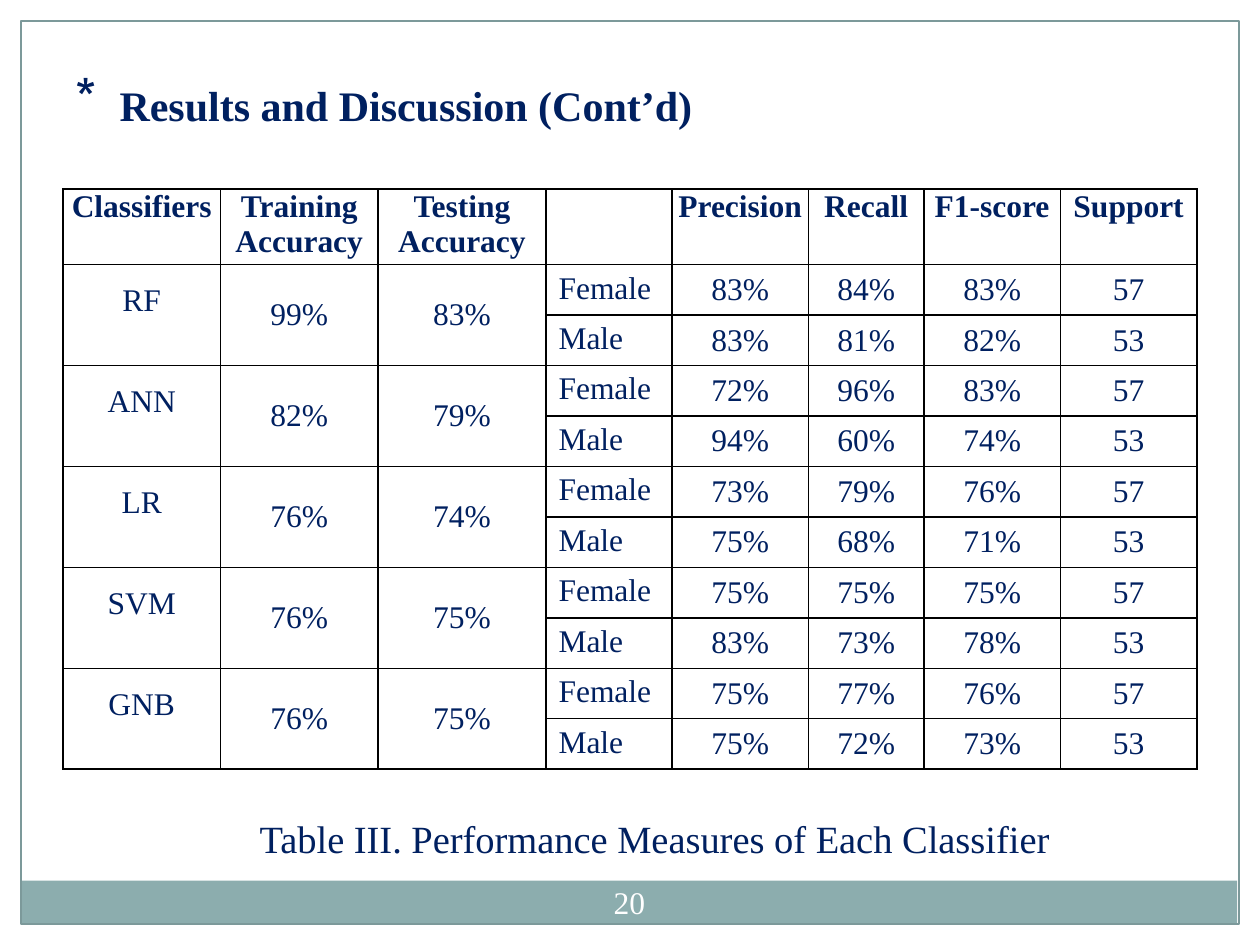
from dataclasses import dataclass
from typing import Any, Optional

from lxml import etree
from pptx import Presentation, util as u
from pptx.dml.color import RGBColor
from pptx.enum import shapes, text
from pptx.oxml import ns

COLORS = {"navy": "002060", "white": "FFFFFF", "band": "8CADAE",
          "frame": "7C999A", "border": "000000"}
FONT = "Times New Roman"
CENTER, LEFT = text.PP_ALIGN.CENTER, text.PP_ALIGN.LEFT
TOP, MIDDLE = text.MSO_ANCHOR.TOP, text.MSO_ANCHOR.MIDDLE
SLIDE_WIDTH, SLIDE_HEIGHT = 10, 7.5
MARGIN = 1 / 6
COLUMN_TWELFTHS = [15, 15, 16, 12, 13, 11, 13, 13]
HEADER_HEIGHT, ROW_HEIGHT = 0.6, 0.4
HEADERS = ["Classifiers", "Training Accuracy", "Testing\nAccuracy", "",
           "Precision", "Recall", "F1-score", "Support"]


@dataclass
class Panel:
    left: float
    top: float
    width: float
    height: float
    fill: Optional[str] = None
    line: Optional[str] = None


@dataclass
class Label:
    words: str
    left: float
    top: float
    width: float
    height: float
    size: int
    color: str = "navy"
    bold: bool = False
    align: Any = CENTER
    wrap: bool = False
    bullet: bool = False


@dataclass
class Classifier:
    name: str
    training: str
    testing: str
    female: list[str]
    male: list[str]


PANELS = [
    Panel(0, 0, SLIDE_WIDTH, MARGIN, fill="white"),
    Panel(SLIDE_WIDTH - MARGIN, 0, MARGIN, SLIDE_HEIGHT, fill="white"),
    Panel(0, 0, MARGIN, SLIDE_HEIGHT, fill="white"),
    Panel(0.16, 6.99, 9.66, 0.34, fill="band"),
    Panel(MARGIN, MARGIN, SLIDE_WIDTH - 2 * MARGIN, SLIDE_HEIGHT - 2 * MARGIN, line="frame"),
]
LABELS = [
    Label("20", 4.66, 6.92, 0.67, 0.48, 18, color="white", wrap=True),
    Label("Results and Discussion (Cont’d)", 0.5, 0.58, 5.15, 0.5, 24,
          bold=True, align=LEFT, bullet=True),
    Label("Table III. Performance Measures of Each Classifier",
          1.92, 6.42, 6.55, 0.47, 22),
]
CLASSIFIERS = [
    Classifier("RF", "99%", "83%", ["83%", "84%", "83%", "57"], ["83%", "81%", "82%", "53"]),
    Classifier("ANN", "82%", "79%", ["72%", "96%", "83%", "57"], ["94%", "60%", "74%", "53"]),
    Classifier("LR", "76%", "74%", ["73%", "79%", "76%", "57"], ["75%", "68%", "71%", "53"]),
    Classifier("SVM", "76%", "75%", ["75%", "75%", "75%", "57"], ["83%", "73%", "78%", "53"]),
    Classifier("GNB", "76%", "75%", ["75%", "77%", "76%", "57"], ["75%", "72%", "73%", "53"]),
]


def rgb(name: str) -> RGBColor:
    return RGBColor.from_string(COLORS[name])


def box(item: Any) -> list[u.Length]:
    return [u.Inches(value) for value in (item.left, item.top, item.width, item.height)]


def apply(target: Any, values: dict[str, Any]) -> None:
    for name, value in values.items():
        setattr(target, name, value)


def write(frame: Any, words: str, size: int, color: str, bold: bool, align: Any) -> None:
    frame.text = words
    for paragraph in frame.paragraphs:
        paragraph.alignment = align
        for font in [paragraph.font, *(run.font for run in paragraph.runs)]:
            apply(font, {"size": u.Pt(size), "bold": bold, "name": FONT})
            font.color.rgb = rgb(color)


def add_element(parent: Any, tag: str, **attributes: str) -> Any:
    return etree.SubElement(parent, ns.qn(tag), attributes)


def add_bullet(paragraph: Any) -> None:
    properties = paragraph._p.get_or_add_pPr()
    indent = u.Inches(0.35)
    properties.set("marL", str(int(indent)))
    properties.set("indent", str(-int(indent)))
    color = add_element(properties, "a:buClr")
    add_element(color, "a:srgbClr", val=COLORS["navy"])
    bullet_size = add_element(properties, "a:buSzPct", val="128000")
    character = add_element(properties, "a:buChar", char="*")
    for index, element in enumerate((color, bullet_size, character)):
        properties.insert(index, element)


def add_panel(slide: Any, panel: Panel) -> None:
    shape = slide.shapes.add_shape(shapes.MSO_SHAPE.RECTANGLE, *box(panel))
    shape.shadow.inherit = False
    if panel.fill:
        shape.fill.solid()
        shape.fill.fore_color.rgb = rgb(panel.fill)
    else:
        shape.fill.background()
    if panel.line:
        shape.line.color.rgb = rgb(panel.line)
        shape.line.width = u.Pt(0.75)
    else:
        shape.line.fill.background()


def add_label(slide: Any, label: Label) -> None:
    frame = slide.shapes.add_textbox(*box(label)).text_frame
    apply(frame, {"word_wrap": label.wrap})
    if label.wrap:
        inset = u.Inches(0.05)
        apply(frame, {"vertical_anchor": MIDDLE, "margin_left": inset,
                      "margin_right": inset, "margin_top": inset, "margin_bottom": inset})
    else:
        frame.auto_size = text.MSO_AUTO_SIZE.SHAPE_TO_FIT_TEXT
    write(frame, label.words, label.size, label.color, label.bold, label.align)
    if label.bullet:
        add_bullet(frame.paragraphs[0])


def add_borders(cell: Any) -> None:
    properties = cell._tc.get_or_add_tcPr()
    for index, side in enumerate(("a:lnL", "a:lnR", "a:lnT", "a:lnB")):
        line = add_element(properties, side, w=str(int(u.Pt(1))))
        fill = add_element(line, "a:solidFill")
        add_element(fill, "a:srgbClr", val=COLORS["border"])
        properties.insert(index, line)


def fill_cell(cell: Any, words: str, bold: bool = False, align: Any = CENTER,
              anchor: Any = MIDDLE, inset: Optional[float] = None) -> None:
    write(cell.text_frame, words, 18, "navy", bold, align)
    cell.vertical_anchor = anchor
    if inset is not None:
        sides = ("left", "right", "top", "bottom")
        apply(cell, {f"margin_{side}": u.Inches(inset) for side in sides})


def add_results(slide: Any) -> None:
    row_count = 1 + 2 * len(CLASSIFIERS)
    height = HEADER_HEIGHT + ROW_HEIGHT * (row_count - 1)
    table = slide.shapes.add_table(row_count, len(HEADERS), u.Inches(0.5), u.Inches(1.5),
                                   u.Inches(9), u.Inches(height)).table
    apply(table, {"first_row": False, "horz_banding": False})
    for column, twelfths in zip(table.columns, COLUMN_TWELFTHS):
        column.width = u.Inches(twelfths / 12)
    for index, row in enumerate(table.rows):
        row.height = u.Inches(ROW_HEIGHT if index else HEADER_HEIGHT)
    for index, cell in enumerate(table.iter_cells()):
        if index < len(HEADERS):
            cell.fill.background()
        else:
            cell.fill.solid()
            cell.fill.fore_color.rgb = rgb("white")
        add_borders(cell)

    # Header row
    for column, words in enumerate(HEADERS):
        fill_cell(table.cell(0, column), words, bold=True, anchor=TOP, inset=0)

    # Two rows for each classifier
    for first, item in zip(range(1, row_count, 2), CLASSIFIERS):
        for column, words in enumerate((item.name, item.training, item.testing)):
            cell = table.cell(first, column)
            cell.merge(table.cell(first + 1, column))
            fill_cell(cell, words, anchor=MIDDLE if column else TOP, inset=0.15)
        for row, (group, scores) in enumerate((("Female", item.female), ("Male", item.male)), first):
            fill_cell(table.cell(row, 3), group, align=LEFT, anchor=TOP)
            for column, score in enumerate(scores, 4):
                fill_cell(table.cell(row, column), score)


def main() -> None:
    presentation = Presentation()
    apply(presentation, {"slide_width": u.Inches(SLIDE_WIDTH),
                         "slide_height": u.Inches(SLIDE_HEIGHT)})
    slide = presentation.slides.add_slide(presentation.slide_layouts[6])
    # Margins, footer band and frame
    for panel in PANELS:
        add_panel(slide, panel)
    # Page number, title and caption
    for label in LABELS:
        add_label(slide, label)
    # Results table
    add_results(slide)
    presentation.save("out.pptx")


main()
